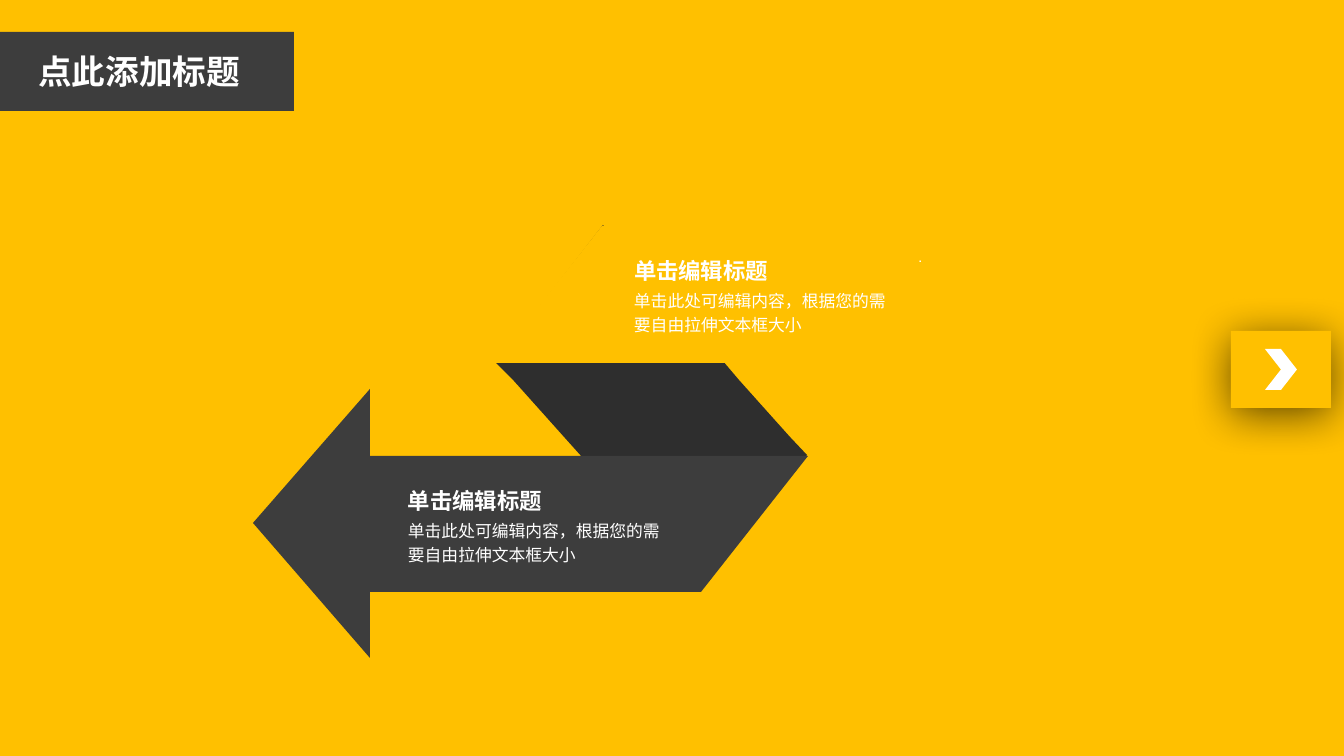
import pptx
import pptx.util
import pptx.dml.color
import pptx.enum.lang
import pptx.enum.shapes
import pptx.enum.text
import pptx.oxml
import pptx.oxml.ns

SHAPES = pptx.enum.shapes.MSO_SHAPE
ALIGN = pptx.enum.text.PP_ALIGN
COLORS = {"yellow": "FFC000", "dark": "3D3D3D", "fold": "2E2E2E", "white": "FFFFFF"}

# Content, lengths in px
PAGE_SIZE = (1344, 756)
SCALE = 914400 / 100.8
TITLE = "点此添加标题"
HEADING = "单击编辑标题"
DETAIL = "单击此处可编辑内容，根据您的需要自由拉伸文本框大小"
CAPTION_CORNERS = [(408, 482), (634, 252)]

FOLD_CURVES = [
    [(496, 363), (568, 436), (630, 515), (702, 589)],
    [(807, 455), (739, 384), (671, 296), (603, 225)],
]
DARK_ARROW = [
    [(358, 456), (808, 456), (701, 592), (358, 592)],
    [(253, 523), (370, 658), (370, 389)],
]
YELLOW_ARROW = [
    [(962, 363), (494, 363), (602, 226), (962, 226)],
    [(1066, 295), (950, 160), (950, 430)],
]

deck = pptx.Presentation()
deck.slide_width, deck.slide_height = (round(side * SCALE) for side in PAGE_SIZE)
page = deck.slides.add_slide(deck.slide_layouts[6])


def emu(*lengths):
    return [pptx.util.Emu(round(length * SCALE)) for length in lengths]


def rgb(color):
    return pptx.dml.color.RGBColor.from_string(COLORS[color])


def paint(shape, color):
    shape.shadow.inherit = False
    shape.fill.solid()
    shape.fill.fore_color.rgb = rgb(color)
    shape.line.fill.background()
    return shape


def add_preset(kind, color, *bounds):
    return paint(page.shapes.add_shape(kind, *emu(*bounds)), color)


def add_outline(points, color):
    builder = page.shapes.build_freeform(*points[0], scale=SCALE)
    builder.add_line_segments(points[1:], close=True)
    return paint(builder.convert_to_shape(), color)


def curve_points(curve, steps=12):
    """Points along a cubic curve with four control points."""
    for step in range(steps + 1):
        t = step / steps
        weights = [(1 - t) ** 3, 3 * t * (1 - t) ** 2, 3 * t * t * (1 - t), t ** 3]
        yield tuple(round(sum(w * point[axis] for w, point in zip(weights, curve)))
                    for axis in (0, 1))


def write(shape, text, size, font, align=ALIGN.LEFT, bold=False, insets=None, spacing=None):
    frame = shape.text_frame
    frame.word_wrap = True
    frame.vertical_anchor = pptx.enum.text.MSO_ANCHOR.TOP
    if insets:
        (frame.margin_left, frame.margin_top,
         frame.margin_right, frame.margin_bottom) = emu(*insets)
    frame.text = text
    para = frame.paragraphs[0]
    para.alignment = align
    para.line_spacing = spacing
    span = para.runs[0]
    span.font.size = pptx.util.Pt(size)
    span.font.bold = bold
    span.font.color.rgb = rgb("white")
    span.font.name = font
    span.font.language_id = pptx.enum.lang.MSO_LANGUAGE_ID.SIMPLIFIED_CHINESE
    # East Asian glyphs take the same font
    east_asian = pptx.oxml.parse_xml(
        f'<a:ea {pptx.oxml.ns.nsdecls("a")} typeface="{font}"/>')
    span.font._element.find(pptx.oxml.ns.qn("a:latin")).addnext(east_asian)


def add_text(bounds, *args, **kwargs):
    write(page.shapes.add_textbox(*emu(*bounds)), *args, **kwargs)


# Background
page.background.fill.solid()
page.background.fill.fore_color.rgb = rgb("yellow")

# Folded ribbon with an arrow at each end
add_outline([point for curve in FOLD_CURVES for point in curve_points(curve)], "fold")
for outline in DARK_ARROW:
    add_outline(outline, "dark")
yellow_band, yellow_head = [add_outline(outline, "yellow") for outline in YELLOW_ARROW]
write(yellow_band, ".", 12, "Cabin", ALIGN.RIGHT, insets=(80, 20, 40, 10))

# Captions on the ribbon
for left, top in CAPTION_CORNERS:
    add_text((left, top, 143, 30), HEADING, 16, "Arial", bold=True,
             insets=(0, 0, 0, 0), spacing=1.2)
    add_text((left, top + 35, 257, 46), DETAIL, 12, "Arial",
             insets=(0, 0, 0, 0), spacing=1.2)

# Title bar
add_preset(SHAPES.RECTANGLE, "dark", 0, 32, 294, 79)
add_preset(SHAPES.RECTANGLE, "yellow", 318, 32, 19, 79)
add_text((0, 46, 278, 50), TITLE, 24, "Noto Sans CJK SC", ALIGN.CENTER, bold=True)

# Next button with a soft shadow
button = add_preset(SHAPES.RECTANGLE, "yellow", 1231, 331, 100, 77)
effects = button._element.spPr.find(pptx.oxml.ns.qn("a:effectLst"))
effects.append(pptx.oxml.parse_xml(
    f'<a:outerShdw {pptx.oxml.ns.nsdecls("a")} blurRad="{pptx.util.Pt(32)}" '
    f'dist="{pptx.util.Pt(5)}" dir="5400000" algn="ctr" rotWithShape="0">'
    '<a:srgbClr val="000000"><a:alpha val="62000"/></a:srgbClr></a:outerShdw>'))
add_preset(SHAPES.CHEVRON, "white", 1265, 349, 32, 41)

deck.save("out.pptx")
